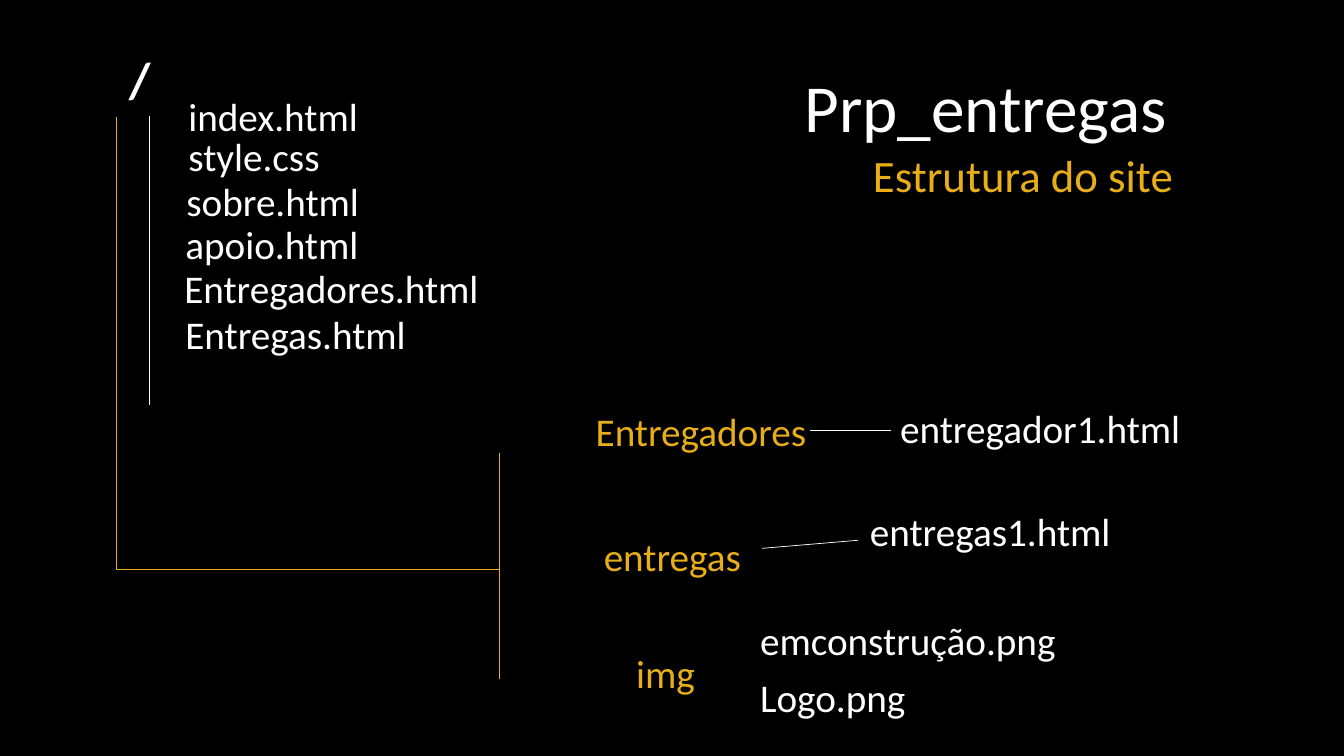
from lxml.etree import SubElement
from pptx import Presentation
from pptx.dml.color import RGBColor
from pptx.enum.shapes import MSO_CONNECTOR as Connector
from pptx.enum.text import MSO_ANCHOR as Anchor, MSO_AUTO_SIZE as AutoSize, PP_ALIGN as Align
from pptx.oxml.ns import qn
from pptx.util import Pt

PX = 9144
FONT = "Calibri"
COLORS = {"background": "000000", "file": "FFFFFF", "folder": "E7AE18"}

ROOT_FILES = [
    ("index.html", 177, 87),
    ("style.css", 177, 126),
    ("sobre.html", 175, 171),
    ("apoio.html", 174, 214),
    ("Entregadores.html", 173, 257),
    ("Entregas.html", 174, 303),
]
FOLDERS = [
    ("Entregadores", 581, 399, 257),
    ("entregas", 589, 523, 173),
    ("img", 621, 639, 141),
]
FOLDER_FILES = [
    ("entregador1.html", 883, 396),
    ("entregas1.html", 853, 498),
    ("emconstrução.png", 744, 607),
    ("Logo.png", 744, 663),
]
BRANCHES = [
    ("file", 148, 115, 148, 402),
    ("folder", 115, 116, 115, 565),
    ("folder", 495, 449, 495, 674),
    ("folder", 115, 565, 495, 565),
    ("file", 884, 427, 803, 427),
    ("file", 851, 536, 756, 544),
]


def rgb(role):
    """Return the colour of a role."""
    return RGBColor.from_string(COLORS[role])


def write(frame, text, size, role, bold=False):
    """Write one left-aligned run into a text frame."""
    frame.word_wrap = True
    frame.vertical_anchor = Anchor.TOP
    line = frame.paragraphs[0]
    line.alignment = Align.LEFT
    run = line.add_run()
    run.text = text
    run.font.name = FONT
    run.font.size = Pt(size)
    run.font.bold = bold
    run.font.color.rgb = rgb(role)


def add_title(slide, text, left, top, width, height):
    """Place and format the title placeholder."""
    title = slide.shapes.title
    title.left, title.top = left * PX, top * PX
    title.width, title.height = width * PX, height * PX
    title.text_frame.auto_size = AutoSize.NONE
    write(title.text_frame, text, 48, "file")


def add_label(slide, text, left, top, width=478, height=57, size=28, role="file", bold=False):
    """Add a text label to the site tree."""
    label = slide.shapes.add_textbox(left * PX, top * PX, width * PX, height * PX)
    label.text_frame.auto_size = AutoSize.SHAPE_TO_FIT_TEXT
    write(label.text_frame, text, size, role, bold)


def add_branch(slide, role, *ends):
    """Add a thin straight branch between two points."""
    branch = slide.shapes.add_connector(Connector.STRAIGHT, *(end * PX for end in ends))
    branch.line.color.rgb = rgb(role)
    branch.line.width = Pt(0.5)
    SubElement(branch._element.spPr, qn("a:effectLst"))


def main():
    """Build the site structure slide."""
    deck = Presentation()
    deck.slide_width, deck.slide_height = 1333 * PX, 750 * PX
    slide = deck.slides.add_slide(deck.slide_layouts[5])
    slide.background.fill.solid()
    slide.background.fill.fore_color.rgb = rgb("background")

    add_title(slide, "Prp_entregas", 788, 60, 478, 91)
    add_label(slide, "Estrutura do site", 856, 142, 389, 64, size=32, role="folder")
    add_label(slide, "/", 118, 43, 79, 71, size=36, bold=True)
    for name, left, top in ROOT_FILES + FOLDER_FILES:
        add_label(slide, name, left, top)
    for name, left, top, width in FOLDERS:
        add_label(slide, name, left, top, width, role="folder")
    for branch in BRANCHES:
        add_branch(slide, *branch)

    deck.save("out.pptx")


if __name__ == "__main__":
    main()
